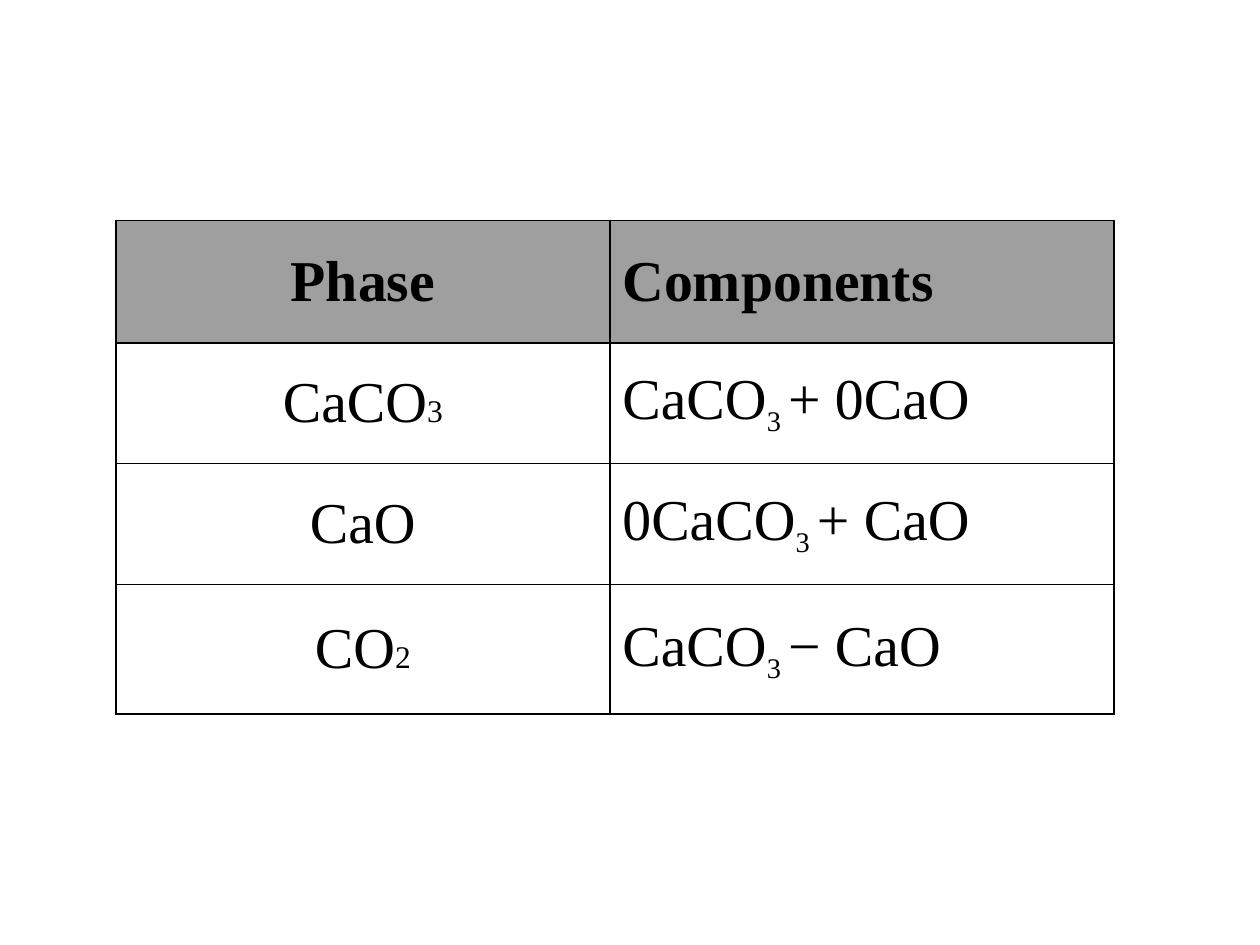
from lxml import etree
from pptx import Presentation
from pptx import util as u
from pptx.dml.color import RGBColor
from pptx.enum import text
from pptx.oxml import ns

BLACK = RGBColor(0x00, 0x00, 0x00)
GREY = RGBColor(0x9F, 0x9F, 0x9F)

BODY, SMALL, SUBSCRIPT = 33, 18, 28  # point sizes


def small(label):
    return label, SMALL, False


def subscript(label):
    return label, SUBSCRIPT, True


# Each cell is a list of parts: plain text, or a small or lowered part
ROWS = [
    (["Phase"], ["Components"]),
    (["CaCO", small("3")], ["CaCO", subscript("3 "), "+ 0CaO"]),
    (["CaO"], ["0CaCO", subscript("3 "), "+ CaO"]),
    (["CO", small("2")], ["CaCO", subscript("3 "), "− CaO"]),
]


class SlideBuilder:
    font_name = "Times New Roman"
    border_width = u.Pt(1.08)
    hanging = u.Inches(0.38)

    def __init__(self, presentation):
        self.width = presentation.slide_width
        self.height = presentation.slide_height
        self.slide = presentation.slides.add_slide(presentation.slide_layouts[6])

    def table(self, left, top, column_shares, row_shares, rows):
        """Draw a table; lengths are shares of the slide's width and height."""
        frame = self.slide.shapes.add_table(
            len(rows), len(column_shares),
            int(left * self.width), int(top * self.height),
            int(sum(column_shares) * self.width),
            int(sum(row_shares) * self.height))
        table = frame.table
        table.horz_banding = False
        for column, share in zip(table.columns, column_shares):
            column.width = int(share * self.width)
        for row, share in zip(table.rows, row_shares):
            row.height = int(share * self.height)
        for row_index, row in enumerate(rows):
            for column_index, parts in enumerate(row):
                self.cell(table.cell(row_index, column_index), parts,
                          header=row_index == 0, centred=column_index == 0)

    def cell(self, cell, parts, header, centred):
        self.borders(cell)
        if header:
            cell.fill.solid()
            cell.fill.fore_color.rgb = GREY
        else:
            cell.fill.background()
        cell.vertical_anchor = text.MSO_ANCHOR.MIDDLE
        paragraph = cell.text_frame.paragraphs[0]
        paragraph.alignment = text.PP_ALIGN.CENTER if centred else text.PP_ALIGN.LEFT
        properties = paragraph._p.get_or_add_pPr()
        properties.set("marL", str(self.hanging))
        properties.set("indent", str(-self.hanging))
        for part in parts:
            label, size, lowered = (part, BODY, False) if isinstance(part, str) else part
            run = paragraph.add_run()
            run.text = label
            run.font.name = self.font_name
            run.font.size = u.Pt(size)
            run.font.bold = header
            run.font.color.rgb = BLACK
            if lowered:
                run.font._element.set("baseline", "-25000")

    def borders(self, cell):
        properties = cell._tc.get_or_add_tcPr()
        for side in ("L", "R", "T", "B"):
            line = etree.SubElement(properties, ns.qn(f"a:ln{side}"),
                                    w=str(self.border_width))
            fill = etree.SubElement(line, ns.qn("a:solidFill"))
            etree.SubElement(fill, ns.qn("a:srgbClr"), val=str(BLACK))


def main():
    presentation = Presentation()
    presentation.slide_width = u.Inches(10)
    presentation.slide_height = u.Inches(7.5)
    builder = SlideBuilder(presentation)

    # Phases and the components that make them up
    builder.table(left=0.092, top=1.75 / 7.5,
                  column_shares=[0.392, 0.4],
                  row_shares=[height / 7.5 for height in (0.97, 0.96, 0.96, 1.03)],
                  rows=ROWS)

    presentation.save("out.pptx")


if __name__ == "__main__":
    main()
